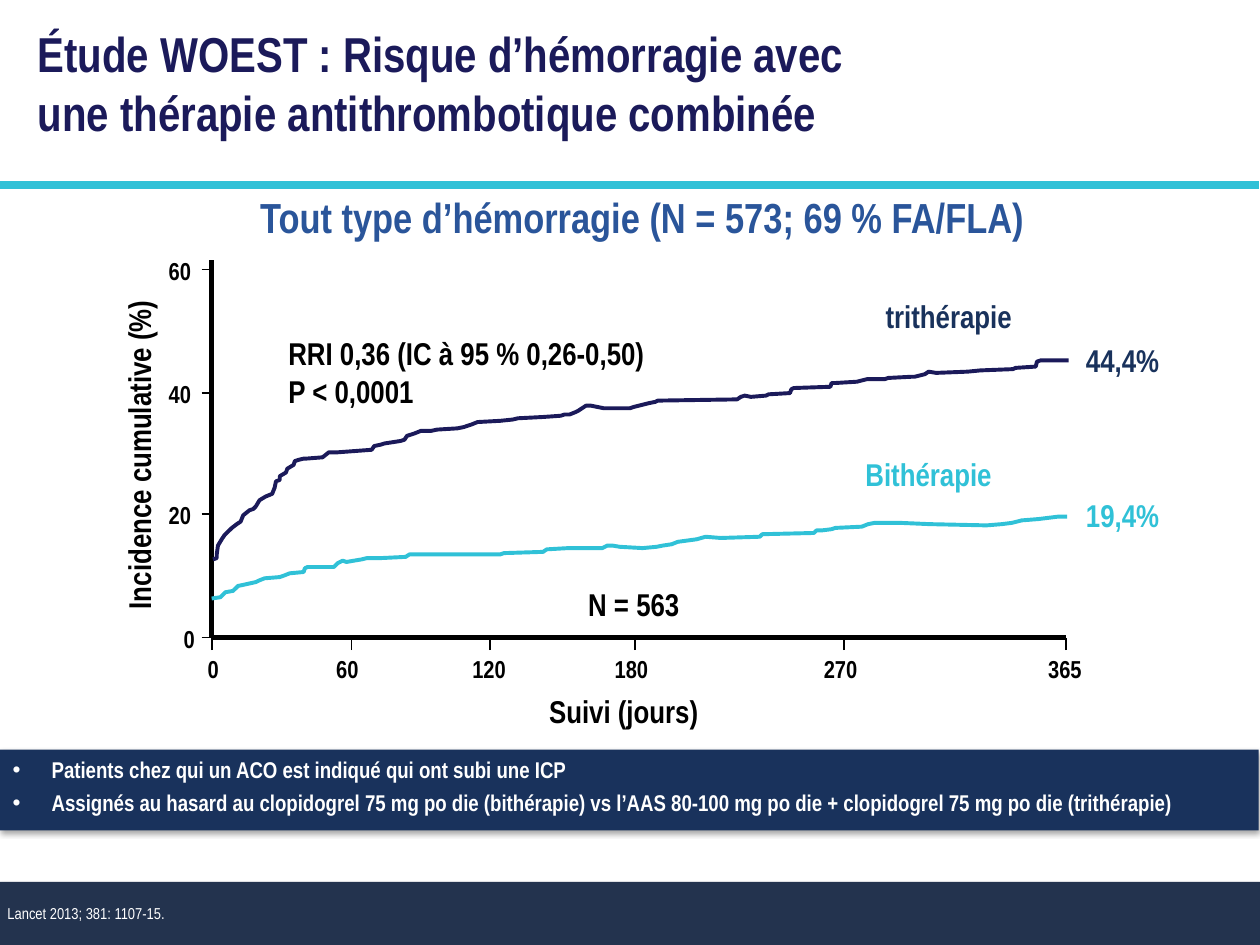
from typing import NamedTuple

from lxml.etree import SubElement
from pptx import Presentation
from pptx.dml.color import RGBColor
from pptx.enum.shapes import MSO_CONNECTOR, MSO_SHAPE
from pptx.enum.text import MSO_ANCHOR as Anchor, MSO_AUTO_SIZE as AutoSize, PP_ALIGN as Align
from pptx.oxml.ns import qn
from pptx.util import Pt

PX = 9144  # 100 px to the inch
FONT = "Arial Narrow"
BLACK, WHITE = "000000", "FFFFFF"
INDIGO, NAVY, TEAL, BLUE, SLATE = "1B1A5A", "19325C", "30C1D7", "2A559A", "23334E"


class Box(NamedTuple):
    left: int
    top: int
    width: int
    height: int


class Tick(NamedTuple):
    position: int
    label: str
    label_left: int
    label_width: int


class Label(NamedTuple):
    text: str
    box: Box
    color: str


class Curve(NamedTuple):
    color: str
    points: list[tuple[int, int]]


# Axes: origin, ends and ticks
ORIGIN_X, ORIGIN_Y, AXIS_TOP, AXIS_RIGHT = 168, 506, 206, 846
X_TICKS = [
    Tick(168, "0", 155, 29), Tick(279, "60", 257, 45), Tick(389, "120", 365, 76),
    Tick(504, "180", 478, 53), Tick(670, "270", 644, 53), Tick(846, "365", 822, 53),
]
Y_TICKS = [
    Tick(214, "60", 124, 38), Tick(312, "40", 124, 38),
    Tick(408, "20", 124, 38), Tick(506, "0", 136, 29),
]

LABELS = [
    Label("Suivi (jours)", Box(426, 544, 140, 40), BLACK),
    Label("RRI 0,36 (IC à 95 % 0,26-0,50)\nP < 0,0001", Box(219, 260, 312, 71), BLACK),
    Label("Bithérapie", Box(677, 356, 122, 40), TEAL),
    Label("trithérapie", Box(693, 231, 122, 40), NAVY),
    Label("44,4%", Box(852, 266, 79, 40), NAVY),
    Label("19,4%", Box(852, 389, 79, 40), TEAL),
    Label("N = 563", Box(457, 459, 93, 40), BLACK),
]

TRIPLE_THERAPY = Curve(INDIGO, [
    (169, 444), (172, 443), (172, 440), (173, 433), (176, 428), (178, 425), (182, 421),
    (184, 419), (188, 416), (191, 414), (193, 409), (198, 405), (201, 404), (203, 402),
    (206, 397), (211, 394), (216, 392), (218, 387), (219, 382), (222, 381), (222, 378),
    (227, 375), (228, 372), (233, 369), (234, 366), (237, 365), (241, 364), (243, 364),
    (256, 363), (261, 359), (268, 359), (295, 357), (297, 354), (302, 353), (305, 352),
    (318, 350), (321, 349), (323, 346), (326, 345), (329, 344), (334, 342), (342, 342),
    (347, 341), (363, 340), (368, 339), (371, 338), (374, 337), (379, 335), (397, 334),
    (407, 333), (411, 332), (431, 331), (445, 330), (448, 329), (452, 329), (457, 327),
    (459, 326), (465, 322), (469, 322), (479, 324), (500, 324), (503, 323), (507, 322),
    (515, 320), (520, 319), (522, 318), (585, 317), (588, 315), (591, 314), (596, 315),
    (608, 314), (610, 313), (627, 312), (628, 309), (630, 308), (659, 307), (660, 304),
    (663, 304), (680, 303), (688, 301), (702, 301), (705, 300), (724, 299), (726, 299),
    (734, 297), (737, 295), (743, 296), (768, 295), (778, 294), (804, 293), (806, 292),
    (822, 291), (823, 287), (826, 286), (848, 286),
])
DUAL_THERAPY = Curve(TEAL, [
    (168, 475), (175, 474), (179, 470), (185, 469), (189, 465), (194, 464), (203, 462),
    (205, 461), (210, 459), (222, 458), (225, 457), (230, 455), (241, 454), (242, 451),
    (244, 450), (265, 450), (268, 447), (272, 445), (275, 446), (287, 444), (291, 443),
    (301, 443), (322, 442), (325, 440), (397, 440), (400, 439), (431, 438), (434, 436),
    (451, 435), (478, 435), (482, 433), (486, 433), (492, 434), (510, 435), (521, 434),
    (526, 433), (533, 432), (538, 430), (553, 428), (560, 426), (572, 427), (603, 426),
    (605, 424), (646, 423), (648, 421), (652, 421), (660, 420), (663, 419), (684, 418),
    (689, 416), (694, 415), (715, 415), (738, 416), (783, 417), (795, 416), (803, 415),
    (811, 413), (824, 412), (840, 410), (847, 410),
])


def rgb(value: str) -> RGBColor:
    return RGBColor.from_string(value)


def emu(lengths) -> list[int]:
    return [length * PX for length in lengths]


def place(shape, box: Box) -> None:
    shape.left, shape.top, shape.width, shape.height = emu(box)


def write(shape, text: str, *, size: float, color: str, bold=True, align=Align.LEFT,
          anchor=Anchor.TOP, wrap=True, grow=False, bullets=False, spacing=None, inset=None):
    """Fill a shape with formatted text, one paragraph a line."""
    frame = shape.text_frame
    frame.text = text
    frame.word_wrap = wrap
    frame.auto_size = AutoSize.SHAPE_TO_FIT_TEXT if grow else AutoSize.NONE
    frame.vertical_anchor = anchor
    if inset is not None:
        frame.margin_left = frame.margin_right = frame.margin_top = frame.margin_bottom = inset * PX
    for index, para in enumerate(frame.paragraphs):
        para.alignment = align
        if bullets:
            add_bullet(para, color)
        para.space_before = Pt(3 if bullets and index else 0)
        if spacing:
            para.line_spacing = spacing
        for span in para.runs:
            font = span.font
            font.name, font.size, font.bold = FONT, Pt(size), bold
            font.color.rgb = rgb(color)


def add_bullet(para, color: str) -> None:
    props = para._p.get_or_add_pPr()
    props.set("marL", str(31 * PX))
    props.set("indent", str(-31 * PX))
    SubElement(SubElement(props, qn("a:buClr")), qn("a:srgbClr"), val=color)
    SubElement(props, qn("a:buChar"), char="•")


def add_text(slide, text: str, box: Box, **style):
    shape = slide.shapes.add_textbox(*emu(box))
    write(shape, text, **style)
    return shape


def add_line(slide, start: tuple[int, int], end: tuple[int, int], color: str, width: float) -> None:
    line = slide.shapes.add_connector(MSO_CONNECTOR.STRAIGHT, *emu(start + end))
    line.line.color.rgb, line.line.width = rgb(color), Pt(width)
    SubElement(line._element.spPr, qn("a:effectLst"))


def add_curve(slide, curve: Curve) -> None:
    builder = slide.shapes.build_freeform(*curve.points[0], scale=PX)
    builder.add_line_segments(curve.points[1:], close=False)
    shape = builder.convert_to_shape()
    shape.shadow.inherit = False
    shape.fill.background()
    shape.line.color.rgb, shape.line.width = rgb(curve.color), Pt(2.25)


def fill_band(shape, color: str) -> None:
    """Solid band without outline and with a soft shadow below."""
    shape.fill.solid()
    shape.fill.fore_color.rgb = rgb(color)
    shape.line.fill.background()
    effects = SubElement(shape._element.spPr, qn("a:effectLst"))
    shadow = SubElement(effects, qn("a:outerShdw"), blurRad="40000", dist="23000",
                        dir="5400000", rotWithShape="0")
    shade = SubElement(shadow, qn("a:srgbClr"), val=BLACK)
    SubElement(shade, qn("a:alpha"), val="35000")


def main() -> None:
    deck = Presentation()
    deck.slide_width, deck.slide_height = emu((1000, 750))
    page = deck.slides.add_slide(deck.slide_layouts[1])
    title, body = page.placeholders[0], page.placeholders[1]

    # Title and header rule
    place(title, Box(20, 14, 710, 145))
    write(title, "Étude WOEST : Risque d’hémorragie avec une thérapie antithrombotique combinée",
          size=28, color=INDIGO)
    add_line(page, (-1, 147), (999, 147), TEAL, 4.5)
    add_text(page, "Tout type d’hémorragie (N = 573; 69 % FA/FLA)", Box(20, 147, 979, 50),
             size=24, color=BLUE, align=Align.CENTER, grow=True)

    # Study notes
    place(body, Box(0, 595, 999, 64))
    fill_band(body, NAVY)
    write(body, "Patients chez qui un ACO est indiqué qui ont subi une ICP\n"
          "Assignés au hasard au clopidogrel 75 mg po die (bithérapie) vs "
          "l’AAS 80-100 mg po die + clopidogrel 75 mg po die (trithérapie)",
          size=13, color=WHITE, bullets=True)

    # Footer with citation
    footer = page.shapes.add_shape(MSO_SHAPE.RECTANGLE, *emu(Box(0, 700, 1000, 50)))
    fill_band(footer, SLATE)
    add_text(page, "Lancet 2013; 381: 1107-15.", Box(6, 705, 703, 42), size=9, color=WHITE,
             bold=False, anchor=Anchor.MIDDLE, spacing=0.9, inset=0)

    # Axes, ticks and tick labels
    add_line(page, (ORIGIN_X, ORIGIN_Y), (ORIGIN_X, AXIS_TOP), BLACK, 2.5)
    add_line(page, (ORIGIN_X, ORIGIN_Y), (AXIS_RIGHT, ORIGIN_Y), BLACK, 2.5)
    for tick in Y_TICKS:
        add_line(page, (160, tick.position), (170, tick.position), BLACK, 1)
        add_text(page, tick.label, Box(tick.label_left, tick.position - 16, tick.label_width, 34),
                 size=14, color=BLACK, wrap=False, grow=True)
    for tick in X_TICKS:
        add_line(page, (tick.position, 516), (tick.position, ORIGIN_Y), BLACK, 1)
        add_text(page, tick.label, Box(tick.label_left, 514, tick.label_width, 34),
                 size=14, color=BLACK, grow=True)
    axis_title = add_text(page, "Incidence cumulative (%)", Box(-45, 341, 310, 40),
                          size=18, color=BLACK, align=Align.CENTER, grow=True)
    axis_title.rotation = 270

    # Incidence curves and their labels
    for curve in (TRIPLE_THERAPY, DUAL_THERAPY):
        add_curve(page, curve)
    for label in LABELS:
        add_text(page, label.text, label.box, size=18, color=label.color, wrap=False, grow=True)

    deck.save("out.pptx")


if __name__ == "__main__":
    main()
